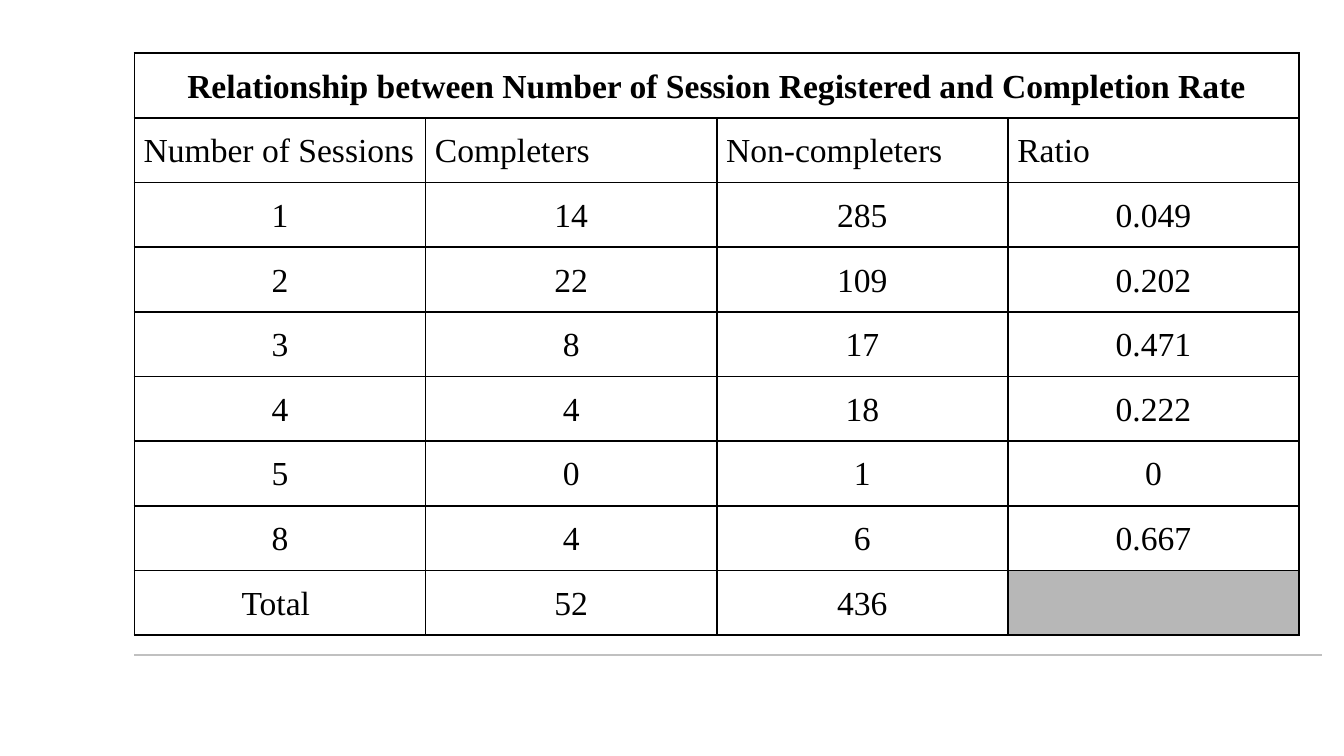
from dataclasses import dataclass

from lxml import etree
from pptx import Presentation
from pptx.dml.color import RGBColor
from pptx.enum import shapes, text
from pptx.oxml import ns
from pptx.util import Pt


@dataclass(frozen=True)
class Theme:
    font: str = "Times New Roman"
    size: float = 18
    ink: str = "000000"
    rule: str = "C0C0C0"
    blank: str = "B7B7B7"


theme = Theme()
title = "Relationship between Number of Session Registered and Completion Rate"
rows = [
    [title, "", "", ""],
    ["Number of Sessions", "Completers", "Non-completers", "Ratio"],
    ["1", "14", "285", "0.049"],
    ["2", "22", "109", "0.202"],
    ["3", "8", "17", "0.471"],
    ["4", "4", "18", "0.222"],
    ["5", "0", "1", "0"],
    ["8", "4", "6", "0.667"],
    ["Total ", "52", "436", ""],
]
left, top, wide, high, inset = 72, 28.5, 156, 34.65, 5


def frame(cell):
    """Draw a 1 pt line on all four sides of a cell."""
    props = cell._tc.get_or_add_tcPr()
    for side in ("lnL", "lnR", "lnT", "lnB"):
        line = etree.SubElement(props, ns.qn(f"a:{side}"), w=str(Pt(1)))
        fill = etree.SubElement(line, ns.qn("a:solidFill"))
        etree.SubElement(fill, ns.qn("a:srgbClr"), val=theme.ink)


deck = Presentation()
deck.slide_width, deck.slide_height = Pt(720), Pt(405)
slide = deck.slides.add_slide(deck.slide_layouts[6])

# Footer rule
rule = slide.shapes.add_connector(
    shapes.MSO_CONNECTOR.STRAIGHT, Pt(left), Pt(351), Pt(708), Pt(351))
rule.line.color.rgb = RGBColor.from_string(theme.rule)
rule.line.width = Pt(1)
etree.SubElement(rule._element.spPr, ns.qn("a:effectLst"))

# Completion table
count = len(rows[0])
table = slide.shapes.add_table(
    len(rows), count, Pt(left), Pt(top),
    Pt(wide * count), Pt(high * len(rows))).table
table.first_row = table.horz_banding = False
for col in table.columns:
    col.width = Pt(wide)
for row in table.rows:
    row.height = Pt(high)

for r, row in enumerate(rows):
    for c, word in enumerate(row):
        cell = table.cell(r, c)
        cell.margin_left = cell.margin_right = Pt(inset)
        cell.margin_top = cell.margin_bottom = Pt(inset)
        frame(cell)
        cell.fill.background()
        para = cell.text_frame.paragraphs[0]
        para.line_spacing = 1.15
        para.alignment = text.PP_ALIGN.LEFT if r == 1 else text.PP_ALIGN.CENTER
        if word:
            run = para.add_run()
            run.text = word
            run.font.name = theme.font
            run.font.size = Pt(theme.size)
            run.font.bold = r == 0
            run.font.color.rgb = RGBColor.from_string(theme.ink)

table.cell(0, 0).merge(table.cell(0, count - 1))
blank = table.cell(len(rows) - 1, count - 1)
blank.fill.solid()
blank.fill.fore_color.rgb = RGBColor.from_string(theme.blank)

deck.save("out.pptx")
